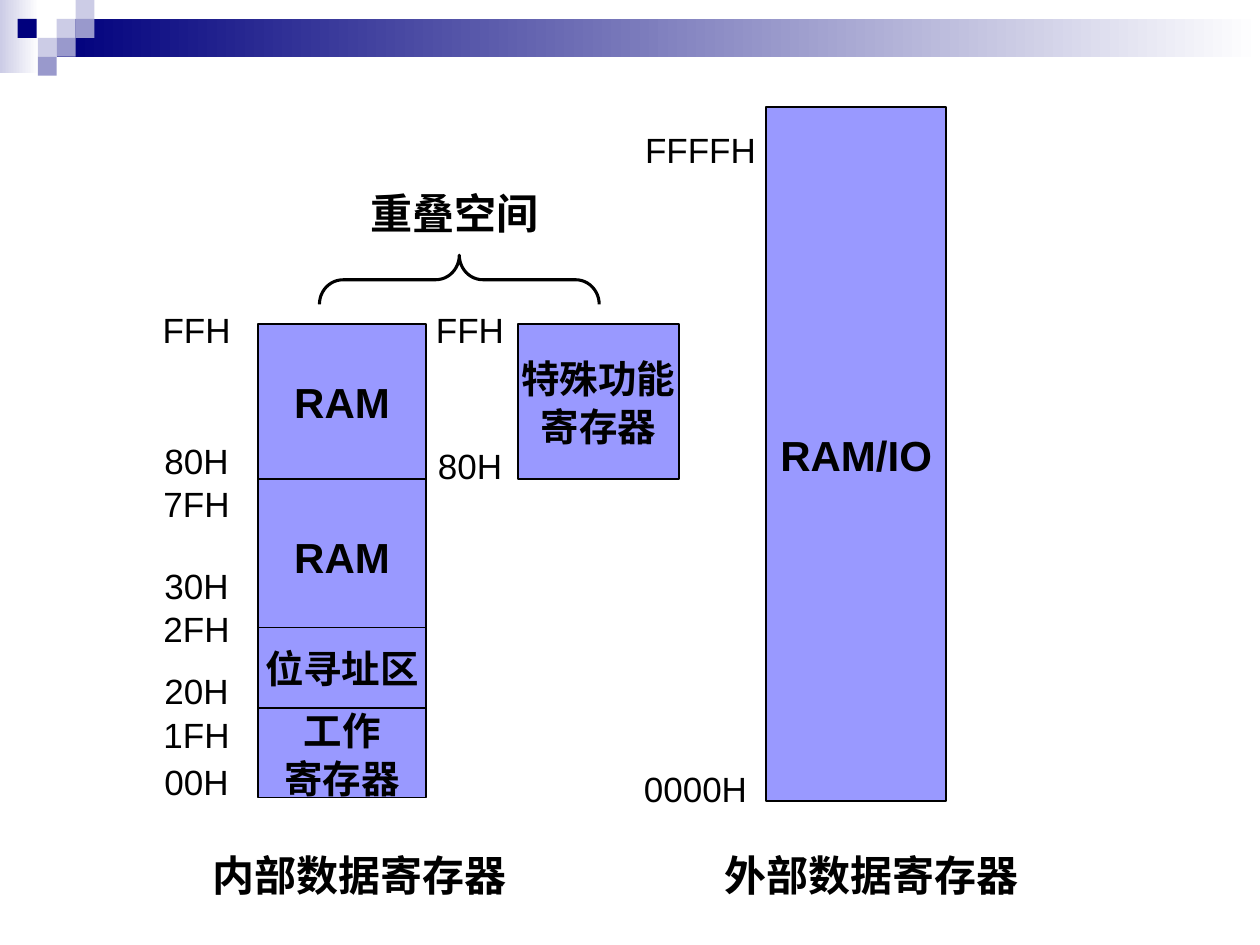
from pptx import Presentation
from pptx.dml.color import RGBColor
from pptx.enum import shapes, text
from pptx.oxml.ns import qn
from pptx.util import Inches, Pt
from lxml import etree

NAVY = RGBColor(0x00, 0x00, 0x7D)
PALE = RGBColor(0xCC, 0xCC, 0xE6)
MID = RGBColor(0x99, 0x99, 0xCC)
MEMORY = RGBColor(0x99, 0x99, 0xFF)
WHITE = RGBColor(0xFF, 0xFF, 0xFF)
BLACK = RGBColor(0x00, 0x00, 0x00)
LATIN = "Arial"
CHINESE = "Noto Sans CJK SC"

presentation = Presentation()
presentation.slide_width = Inches(10)
presentation.slide_height = Inches(7.5)
slide = presentation.slides.add_slide(presentation.slide_layouts[6])


def add_preset(preset, left, top, width, height):
    shape = slide.shapes.add_shape(
        preset, Inches(left), Inches(top), Inches(width), Inches(height))
    shape.shadow.inherit = False
    shape.line.fill.background()
    return shape


def write_lines(shape, lines, size, bold=False, font_name=LATIN):
    frame = shape.text_frame
    frame.word_wrap = False
    frame.vertical_anchor = text.MSO_ANCHOR.MIDDLE
    for index, line in enumerate(lines):
        paragraph = frame.add_paragraph() if index else frame.paragraphs[0]
        paragraph.alignment = text.PP_ALIGN.CENTER
        if len(lines) > 1:
            paragraph.line_spacing = 1.04
        run = paragraph.add_run()
        run.text = line
        run.font.size = Pt(size)
        run.font.bold = bold
        run.font.color.rgb = BLACK
        run.font.name = font_name
        east_asian = etree.SubElement(run.font._element, qn("a:ea"))
        east_asian.set("typeface", font_name)


# Header bands fading to white
for left, top, width, height, color in [
    (0, 0, 0.31, 0.58, PALE),
    (0.45, 0.15, 9.55, 0.3, NAVY),
]:
    band = add_preset(shapes.MSO_SHAPE.RECTANGLE, left, top, width, height)
    band.fill.gradient()
    band.fill.gradient_angle = 0
    for stop, stop_color in zip(band.fill.gradient_stops, (color, WHITE)):
        stop.color.rgb = stop_color

# Header checker squares
SQUARE = 0.15
for left, top, color in [
    (0.45, 0.15, PALE), (0.6, 0, PALE), (0.6, 0.15, MID), (0.3, 0.3, PALE),
    (0.14, 0.15, NAVY), (0.45, 0.3, MID), (0.3, 0.45, MID),
]:
    square = add_preset(shapes.MSO_SHAPE.RECTANGLE, left, top, SQUARE, SQUARE)
    square.fill.solid()
    square.fill.fore_color.rgb = color

# Memory blocks
for left, top, width, height, size, lines in [
    (2.05, 2.57, 1.33, 1.23, 24, ["RAM"]),
    (2.05, 3.8, 1.33, 1.23, 24, ["RAM"]),
    (2.05, 4.98, 1.33, 0.65, 22, ["位寻址区"]),
    (2.05, 5.62, 1.33, 0.71, 22, ["工作", "寄存器"]),
    (6.08, 0.85, 1.43, 5.51, 24, ["RAM/IO"]),
    (4.11, 2.57, 1.28, 1.23, 22, ["特殊功能", "寄存器"]),
]:
    block = add_preset(shapes.MSO_SHAPE.RECTANGLE, left, top, width, height)
    block.fill.solid()
    block.fill.fore_color.rgb = MEMORY
    block.line.color.rgb = BLACK
    block.line.width = Pt(1)
    write_lines(block, lines, size, bold=True)

# Address labels
for left, top, lines in [
    (1.02, 2.37, ["FFH"]),
    (1.02, 3.45, ["80H", "7FH"]),
    (1.02, 4.44, ["30H", "2FH"]),
    (1.02, 5.28, ["20H", "1FH"]),
    (1.02, 5.96, ["00H"]),
    (3.19, 2.37, ["FFH"]),
    (3.19, 3.45, ["80H"]),
    (5.02, 0.94, ["FFFFH"]),
    (4.98, 6.01, ["0000H"]),
]:
    height = 0.49 if len(lines) == 1 else 0.74
    label = slide.shapes.add_textbox(
        Inches(left), Inches(top), Inches(1.08), Inches(height))
    write_lines(label, lines, 20)

# Brace over the overlapping address space
brace = add_preset(shapes.MSO_SHAPE.LEFT_BRACE, 3.45, 1.11, 0.39, 2.22)
brace.rotation = 90
brace.adjustments[0] = 0.48
brace.fill.background()
brace.line.color.rgb = BLACK
brace.line.width = Pt(1.75)

# Captions
for left, top, width, caption in [
    (2.67, 1.44, 1.87, "重叠空间"),
    (5.56, 6.7, 2.71, "外部数据寄存器"),
    (1.55, 6.7, 2.61, "内部数据寄存器"),
]:
    box = slide.shapes.add_textbox(
        Inches(left), Inches(top), Inches(width), Inches(0.49))
    write_lines(box, [caption], 24, bold=True, font_name=CHINESE)

presentation.save("out.pptx")
